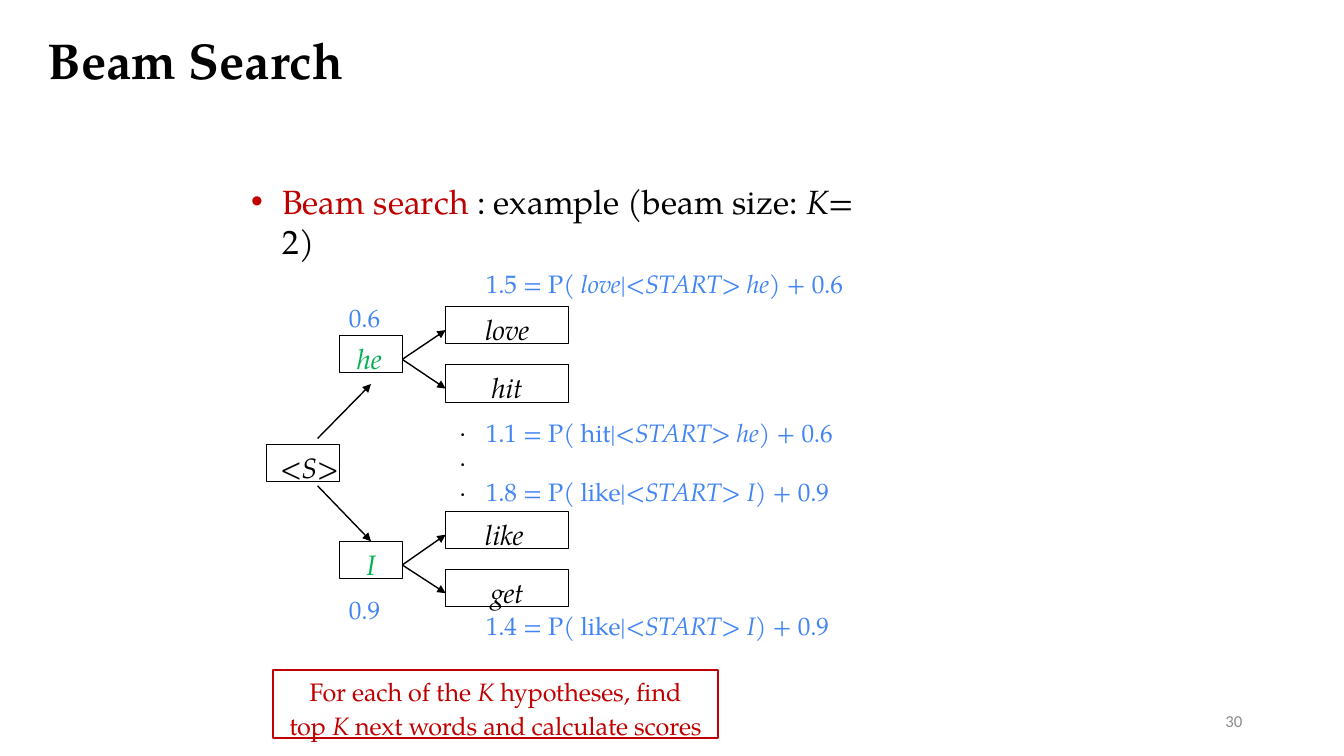
from lxml.etree import SubElement
from pptx import Presentation
from pptx.dml.color import RGBColor
from pptx.enum.shapes import MSO_CONNECTOR as Connector, MSO_SHAPE as Shape
from pptx.enum.text import MSO_ANCHOR as Anchor, MSO_AUTO_SIZE as AutoSize, PP_ALIGN as Align
from pptx.oxml.ns import qn
from pptx.util import Inches, Pt

BLACK = RGBColor(0, 0, 0)
RED = RGBColor(0xC0, 0, 0)
GREEN = RGBColor(0, 0xB0, 0x50)
BLUE = RGBColor(0x42, 0x85, 0xF4)
GRAY = RGBColor(0x8C, 0x8C, 0x8C)
SERIF = "TeX Gyre Pagella"

TITLE = "Beam Search"
BULLET = [("Beam search ", {"color": RED}), (": example (beam size: ", {}),
          ("K", {"italic": True}), ("= 2)", {})]
NOTE = [
    [("For each of the ", {}), ("K", {"italic": True}), (" hypotheses, find", {})],
    [("top ", {}), ("K", {"italic": True}), (" next words and calculate scores", {})],
]
# word, left, top, width, color, left indent (None: centred)
WORDS = [
    ("<S>", 2.64, 4.41, 0.73, BLACK, 0.14),
    ("he", 3.37, 3.33, 0.62, GREEN, 0.17),
    ("I", 3.37, 5.37, 0.62, GREEN, None),
    ("love", 4.42, 3.04, 1.22, BLACK, None),
    ("hit", 4.42, 3.62, 1.22, BLACK, None),
    ("like", 4.42, 5.07, 1.22, BLACK, 0.39),
    ("get", 4.42, 5.65, 1.22, BLACK, None),
]
WORD_HEIGHT = 0.37
BRANCHES = {"he": ("love", "hit"), "I": ("like", "get")}
BRANCH_DROP = 0.05  # branches run slightly below the box centres
FIRST_SCORES = [("0.6", 2.98), ("0.9", 5.88)]
# top, total, next word, next word in italics, previous word, previous score
SCORES = [
    (2.64, "1.5", "love", True, "he", "0.6"),
    (4.12, "1.1", "hit", False, "he", "0.6"),
    (4.71, "1.8", "like", False, "I", "0.9"),
    (6.03, "1.4", "like", False, "I", "0.9"),
]


def write(holder, paragraphs, size=18, color=BLACK, font=SERIF, bold=False, align=Align.LEFT,
          anchor=Anchor.TOP, insets=(0.1, 0.05, 0.1, 0.05), gap=0, spacing=0):
    """Fill a shape; each paragraph is a string or a list of (text, format) spans."""
    frame = holder.text_frame
    frame.word_wrap = True
    frame.auto_size = AutoSize.NONE
    frame.vertical_anchor = anchor
    (frame.margin_left, frame.margin_top,
     frame.margin_right, frame.margin_bottom) = map(Inches, insets)
    for index, spans in enumerate(paragraphs):
        para = frame.add_paragraph() if index else frame.paragraphs[0]
        para.alignment = align
        para.space_before = Pt(gap if index else 0)
        for text, style in [(spans, {})] if isinstance(spans, str) else spans:
            span = para.add_run()
            span.text = text
            span.font.name = font
            span.font.size = Pt(size)
            span.font.bold = bold
            span.font.italic = style.get("italic", False)
            span.font.color.rgb = style.get("color", color)
            if spacing:
                span.font._element.set("spc", str(round(spacing * 100)))


def place(holder, left, top, width, height):
    holder.left, holder.top = Inches(left), Inches(top)
    holder.width, holder.height = Inches(width), Inches(height)


def add_text(left, top, width, height, paragraphs, **style):
    box = page.shapes.add_textbox(*map(Inches, (left, top, width, height)))
    write(box, paragraphs, **style)


def add_frame(left, top, width, height, line_color, line_width, paragraphs, **style):
    box = page.shapes.add_shape(Shape.RECTANGLE, *map(Inches, (left, top, width, height)))
    box.shadow.inherit = False
    box.fill.background()
    box.line.color.rgb = line_color
    box.line.width = Pt(line_width)
    write(box, paragraphs, **style)
    return box


def add_arrow(x1, y1, x2, y2):
    arrow = page.shapes.add_connector(Connector.STRAIGHT, *map(Inches, (x1, y1, x2, y2)))
    arrow.line.color.rgb = BLACK
    arrow.line.width = Pt(1)
    SubElement(arrow.line._get_or_add_ln(), qn("a:tailEnd"), type="triangle")
    SubElement(arrow._element.spPr, qn("a:effectLst"))
    return arrow


deck = Presentation()
deck.slide_width, deck.slide_height = Inches(13.33), Inches(7.5)
page = deck.slides.add_slide(deck.slide_layouts[1])

title, body = page.placeholders
place(title, 0.37, 0.24, 8.04, 0.71)
write(title, [TITLE], size=36, bold=True)

place(body, 2.39, 1.74, 6.49, 0.9)
bullet_props = body.text_frame.paragraphs[0]._p.get_or_add_pPr()
bullet_props.set("marL", str(Inches(0.31)))
bullet_props.set("indent", str(-Inches(0.31)))
SubElement(bullet_props, qn("a:buChar"), char="•")
write(body, [BULLET], size=24)

boxes, edges = {}, {}
for word, left, top, width, color, indent in WORDS:
    boxes[word] = add_frame(
        left, top, width, WORD_HEIGHT, BLACK, 0.72, [[(word, {"italic": True})]],
        size=20, color=color, align=Align.CENTER if indent is None else Align.LEFT,
        insets=(indent or 0, 0.06, 0, 0), spacing=-0.1)
    edges[word] = (left, left + width, top + WORD_HEIGHT / 2 + BRANCH_DROP)

for parent, children in BRANCHES.items():
    _, start_x, start_y = edges[parent]
    for child in children:
        end_x, _, end_y = edges[child]
        add_arrow(start_x, start_y, end_x, end_y)
add_arrow(3.15, 4.35, 3.68, 3.81)
add_arrow(3.15, 4.82, 3.68, 5.37).end_connect(boxes["I"], 0)

for score, top in FIRST_SCORES:
    add_text(3.45, top, 0.42, 0.33, [score], color=BLUE, insets=(0.01, 0.02, 0, 0))
for top, total, word, slanted, previous, prior in SCORES:
    formula = [(f"{total} = P( ", {}), (word, {"italic": slanted}), ("|", {}),
               (f"<START> {previous}", {"italic": True}), (f") + {prior}", {})]
    add_text(4.81, top, 3.76, 0.33, [formula], color=BLUE,
             insets=(0.01, 0.02, 0, 0), spacing=-0.1)

add_text(4.46, 4.03, 0.27, 1.01, ["."] * 3)
add_frame(2.71, 6.65, 4.41, 0.67, RED, 1.56, NOTE, color=RED, align=Align.CENTER,
          insets=(0, 0.06, 0, 0), gap=2.4, spacing=-0.1)
add_text(9.42, 6.95, 3, 0.4, ["30"], size=12, color=GRAY, font="Calibri",
         align=Align.RIGHT, anchor=Anchor.MIDDLE)

deck.save("out.pptx")
